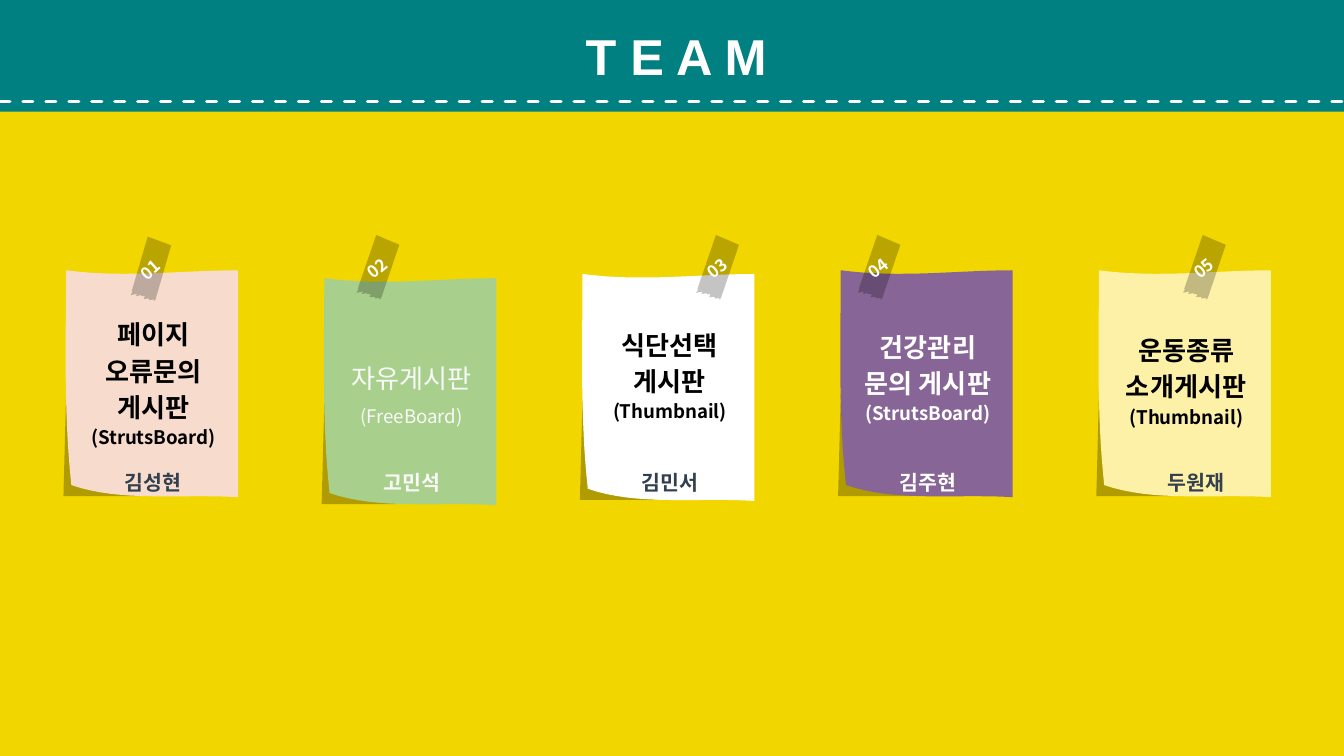
from dataclasses import dataclass
from math import comb

from pptx import Presentation
from pptx.dml.color import RGBColor
from pptx.enum.dml import MSO_LINE_DASH_STYLE as Dash
from pptx.enum.shapes import MSO_CONNECTOR as Connector, MSO_SHAPE as Shape
from pptx.enum.text import MSO_ANCHOR as Anchor, MSO_AUTO_SIZE as AutoSize, PP_ALIGN as Align
from pptx.oxml.ns import qn
from pptx.oxml.xmlchemy import OxmlElement
from pptx.util import Cm, Pt

KOREAN_FONT = "Noto Sans CJK KR"
SLIDE_WIDTH, SLIDE_HEIGHT = 25.4, 14.29
NOTE_LEFT, NOTE_STEP = 1.25, 4.88
LABEL_INSET, LABEL_WIDTH = 0.15, 3
NARROW_MARGINS = (0.18, 0.1)
WIDE_MARGINS = (0.25, 0.25)

FOLD = [(0, 2.34), (-0.05, 4.27), (1.37, 4.27)]
PAPER_CURVES = [
    [(0, 0), (1.14, 0.15), (2.18, 0), (3.25, 0)],
    [(3.25, 4.29), (2.21, 4.22), (1.04, 4.39), (0.1, 4.06)],
    [(0.1, 4.06), (-0.05, 2.69), (0, 1.3), (0, 0)],
]
TAPE = [
    (0.98, 0), (1.2, 0.42), (0.32, 0.97), (0.28, 0.99), (0.25, 0.98), (0.28, 0.97),
    (0.2, 0.91), (0.22, 0.89), (0.14, 0.83), (0.19, 0.8), (0.14, 0.76), (0.15, 0.74),
    (0.06, 0.69), (0.11, 0.67), (0, 0.61), (0.08, 0.58), (0.06, 0.57),
]


@dataclass
class Note:
    top: float
    paper: str
    tape_left: float
    board_top: float
    board: list
    board_color: str
    member: str
    member_color: str
    tape_top: float = 4.57
    tape_angle: float = 320.7
    bold: bool = True
    spacing: float = 1.15
    member_shift: float = 0


NOTES = [
    Note(5.11, "F7DCCD", 2.24, 5.69, ["페이지 오류문의 게시판", "(StrutsBoard)"], "000000",
         "김성현", "323F4F", tape_top=4.6, tape_angle=318.1),
    Note(5.26, "A8D08C", 6.53, 6.3, ["자유게시판", "(FreeBoard)"], "F9F9F9",
         "고민석", "F9F9F9", bold=False, spacing=1.5),
    Note(5.18, "FFFFFF", 12.95, 5.89, ["식단선택", "게시판", "(Thumbnail)"], "000000",
         "김민서", "323F4F"),
    Note(5.11, "876597", 16, 5.92, ["건강관리 문의 게시판", "(StrutsBoard)"], "FFFFFF",
         "김주현", "FFFFFF"),
    Note(5.11, "FDF1A8", 22.15, 5.99, ["운동종류", "소개게시판", "(Thumbnail)"], "000000",
         "두원재", "323F4F", member_shift=0.18),
]


def paint(target, color, opacity=100):
    target.solid()
    target.fore_color.rgb = RGBColor.from_string(color)
    if opacity < 100:
        alpha = OxmlElement("a:alpha")
        alpha.set("val", str(opacity * 1000))
        target._xPr.find(f".//{qn('a:srgbClr')}").append(alpha)


def style_shape(shape, color, opacity=100):
    shape.shadow.inherit = False
    shape.line.fill.background()
    paint(shape.fill, color, opacity)


def prepare_frame(shape, margins, anchor):
    frame = shape.text_frame
    frame.word_wrap = True
    frame.auto_size = AutoSize.NONE
    frame.vertical_anchor = anchor
    frame.margin_left = frame.margin_right = Cm(margins[0])
    frame.margin_top = frame.margin_bottom = Cm(margins[1])
    return frame


def write_line(paragraph, text, size, color, bold=True, font=KOREAN_FONT, spacing=1.0):
    paragraph.alignment = Align.CENTER
    paragraph.line_spacing = spacing
    run = paragraph.add_run()
    run.text = text
    run.font.name = font
    run.font.size = Pt(size)
    run.font.bold = bold
    paint(run.font.fill, color)
    east_asian = OxmlElement("a:ea")
    east_asian.set("typeface", font)
    run.font._element.find(qn("a:latin")).addnext(east_asian)


def add_outline(shapes, left, top, points, color, opacity=100):
    corners = [(Cm(left + x), Cm(top + y)) for x, y in points]
    builder = shapes.build_freeform(*corners[0], scale=1.0)
    builder.add_line_segments(corners[1:], close=True)
    shape = builder.convert_to_shape()
    style_shape(shape, color, opacity)
    return shape


def curve_points(controls, steps=16):
    degree = len(controls) - 1
    for step in range(steps + 1):
        t = step / steps
        weights = [comb(degree, i) * t**i * (1 - t) ** (degree - i) for i in range(degree + 1)]
        yield tuple(sum(w * c[axis] for w, c in zip(weights, controls)) for axis in (0, 1))


def add_label(slide, left, top, height, margins):
    box = slide.shapes.add_textbox(Cm(left), Cm(top), Cm(LABEL_WIDTH), Cm(height))
    return prepare_frame(box, margins, Anchor.TOP)


def add_header(slide):
    banner = slide.shapes.add_shape(Shape.RECTANGLE, 0, 0, Cm(SLIDE_WIDTH), Cm(2.11))
    style_shape(banner, "008080")

    title = slide.shapes.title
    banner.element.addnext(title.element)
    title.left, title.top, title.width, title.height = Cm(8.97), Cm(0.2), Cm(7.62), Cm(1.68)
    frame = prepare_frame(title, NARROW_MARGINS, Anchor.MIDDLE)
    write_line(frame.paragraphs[0], "T E A M", 27, "FFFFFF", font="Arial")

    stitch = slide.shapes.add_connector(
        Connector.STRAIGHT, 0, Cm(1.92), Cm(SLIDE_WIDTH), Cm(1.92))
    paint(stitch.line.fill, "FFFFFF")
    stitch.line.width = Pt(1.75)
    stitch.line.dash_style = Dash.DASH
    properties = stitch.element.spPr
    properties.find(qn("a:ln")).set("cap", "rnd")
    properties.append(OxmlElement("a:effectLst"))


def add_note(slide, number, note):
    left = NOTE_LEFT + (number - 1) * NOTE_STEP
    sheet = slide.shapes.add_group_shape()
    add_outline(sheet.shapes, left, note.top, FOLD, "000000", 27)
    paper = [point for curve in PAPER_CURVES for point in curve_points(curve)]
    add_outline(sheet.shapes, left, note.top, paper, note.paper)

    tape = add_outline(slide.shapes, note.tape_left, note.tape_top, TAPE, "000000", 23)
    tape.rotation = note.tape_angle
    frame = prepare_frame(tape, NARROW_MARGINS, Anchor.MIDDLE)
    write_line(frame.paragraphs[0], f"{number:02d}", 9, "FFFFFF")

    label_left = left + LABEL_INSET
    frame = add_label(slide, label_left + note.member_shift, 8.56, 0.71, NARROW_MARGINS)
    write_line(frame.paragraphs[0], note.member, 11, note.member_color, spacing=1.5)

    frame = add_label(slide, label_left, note.board_top, 2.21, WIDE_MARGINS)
    for index, text in enumerate(note.board):
        paragraph = frame.add_paragraph() if index else frame.paragraphs[0]
        size = 10 if text.startswith("(") else 14
        write_line(paragraph, text, size, note.board_color, note.bold, spacing=note.spacing)


def main():
    presentation = Presentation()
    presentation.slide_width = Cm(SLIDE_WIDTH)
    presentation.slide_height = Cm(SLIDE_HEIGHT)
    slide = presentation.slides.add_slide(presentation.slide_layouts[5])
    paint(slide.background.fill, "F2D600")
    add_header(slide)
    for number, note in enumerate(NOTES, start=1):
        add_note(slide, number, note)
    presentation.save("out.pptx")


if __name__ == "__main__":
    main()
